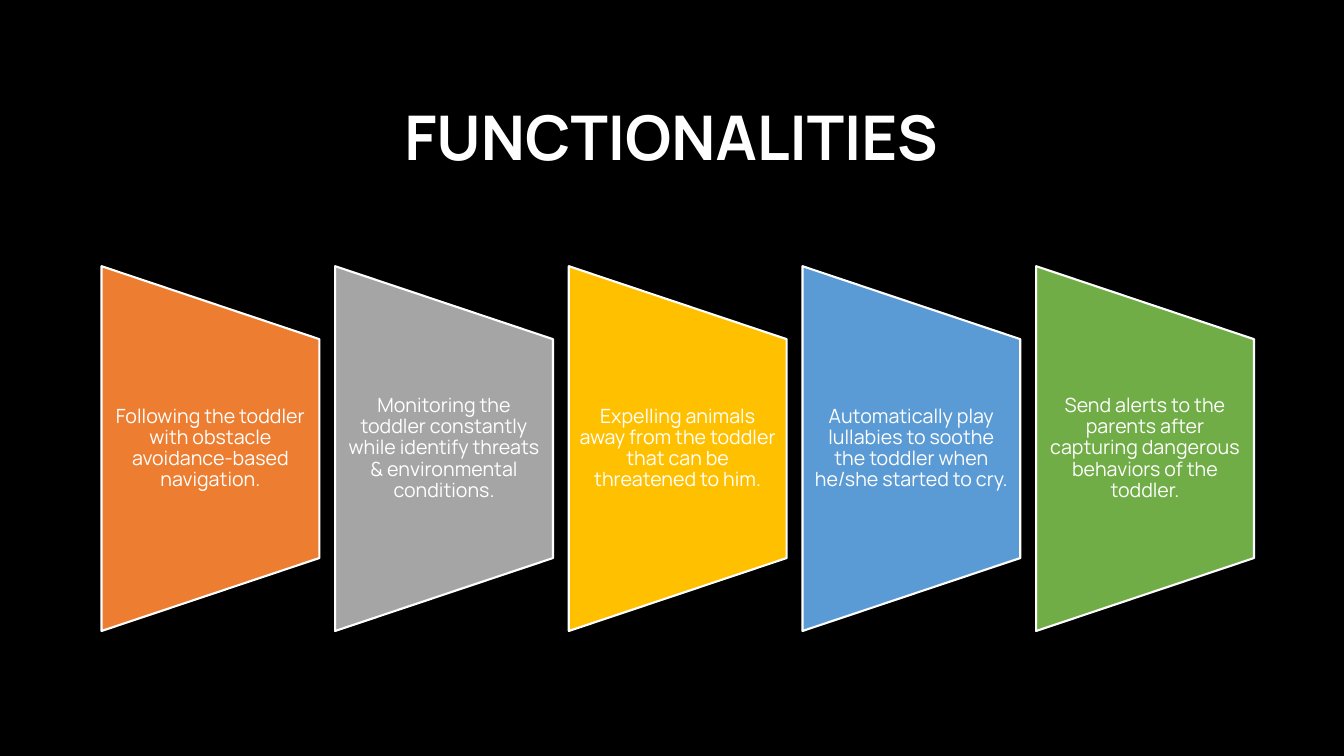
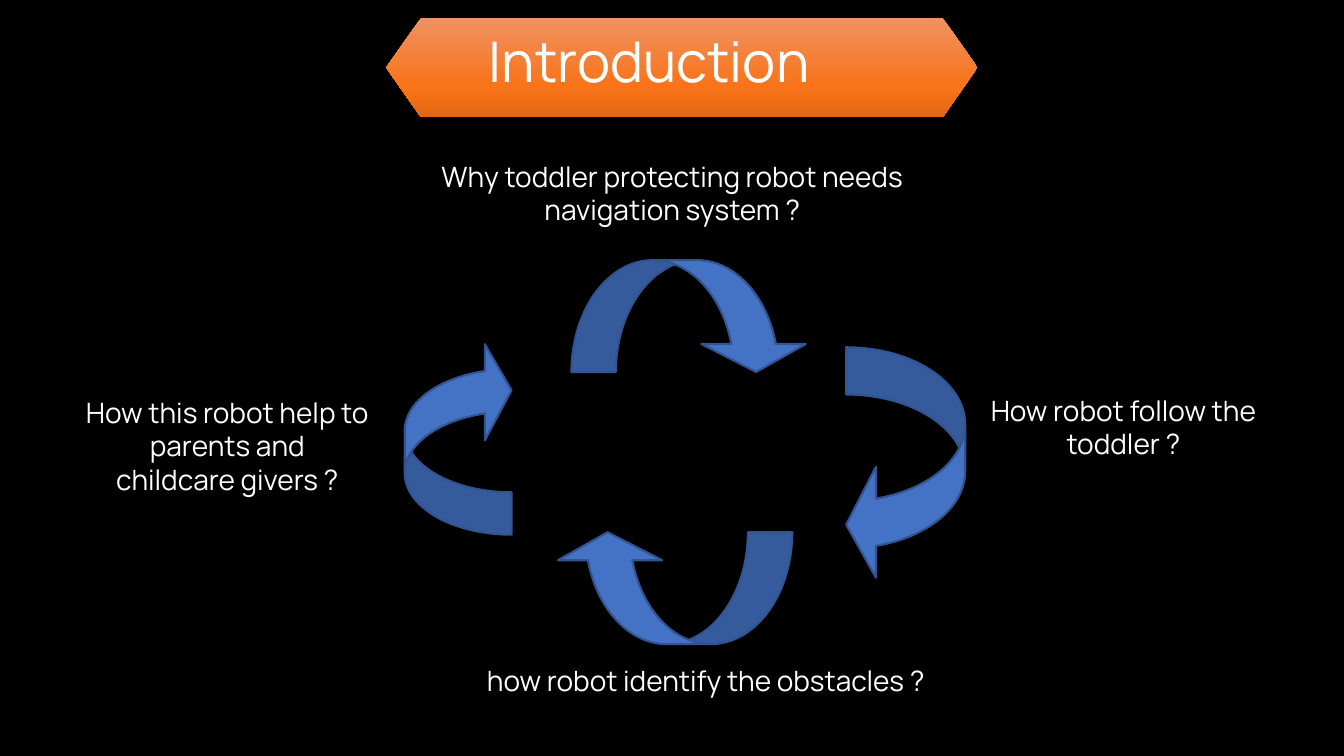
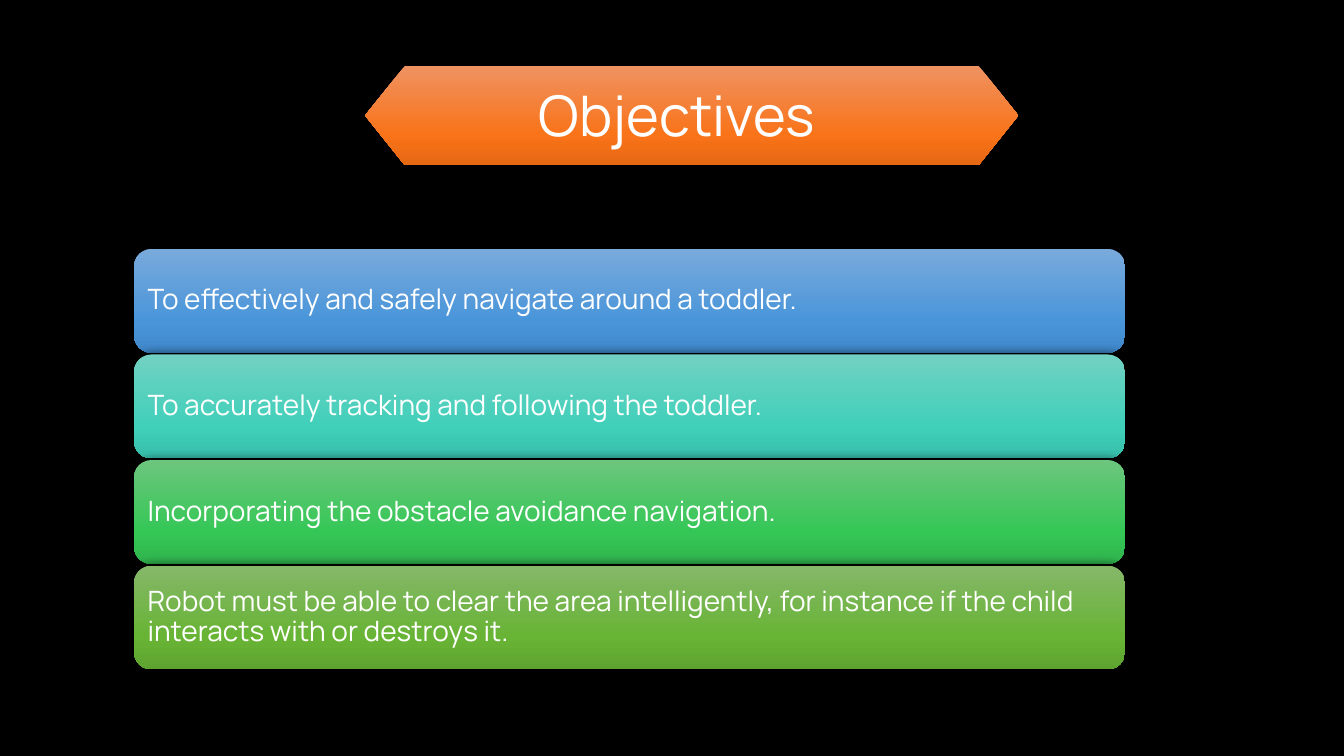
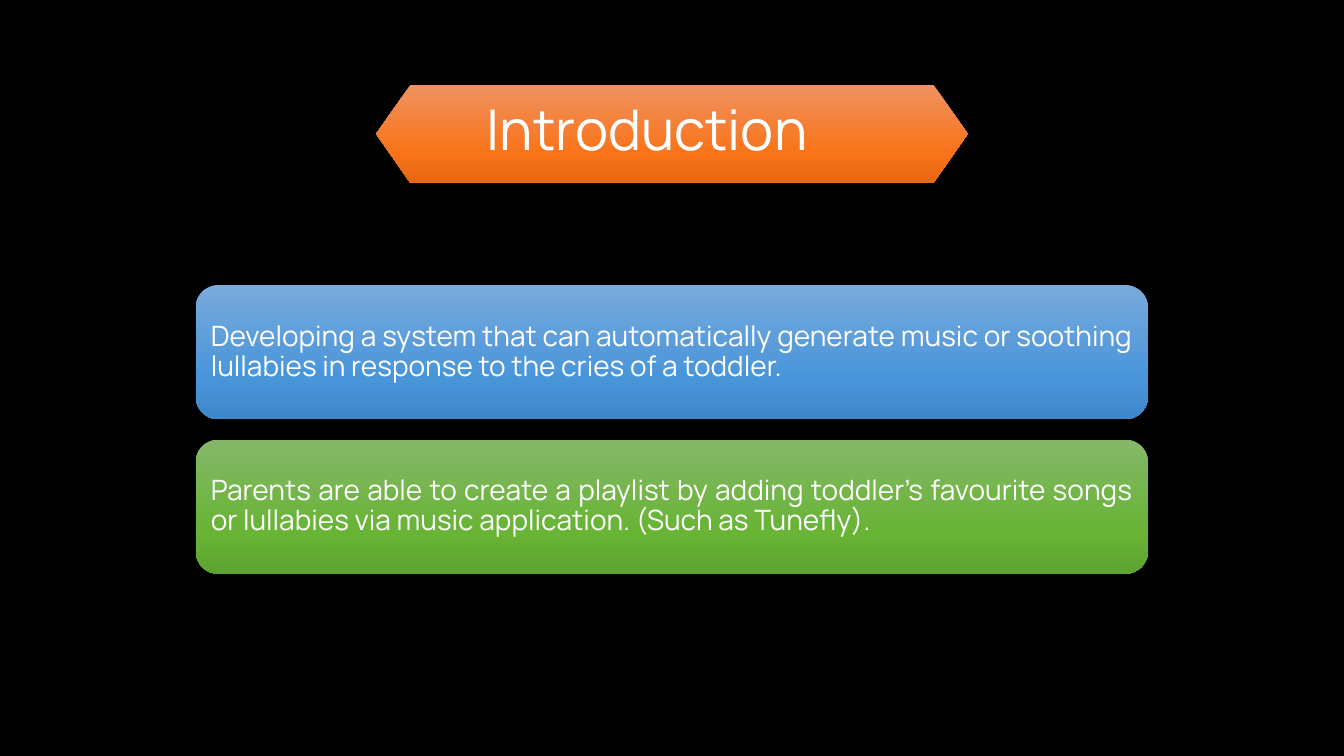
from dataclasses import dataclass

from lxml.etree import SubElement
from pptx import Presentation
from pptx.dml.color import RGBColor
from pptx.enum.shapes import MSO_SHAPE as Preset
from pptx.enum.text import MSO_ANCHOR as Anchor, PP_ALIGN as Align
from pptx.oxml.ns import qn
from pptx.util import Pt


@dataclass(frozen=True)
class Theme:
    font: str = "Manrope"
    background: str = "000000"
    text: str = "FFFFFF"
    arrow: str = "4472C4"
    arrow_edge: str = "325491"
    orange: tuple = ("EF9261", "F97319", "E66812")
    blue: tuple = ("79AADB", "4995DA", "3F87C9")
    teal: tuple = ("72D1C2", "40D0BA", "37BFAB")
    green: tuple = ("6CC67D", "35C756", "30B44E")
    olive: tuple = ("85B769", "68B435", "5EA330")
    stops: tuple = (0, 69, 100)
    soft_shadow: tuple = (76, 6, 3)
    tight_shadow: tuple = (100, 8.5, 1)
    heading: int = 44
    ribbon: int = 40
    body: int = 20
    small: int = 14
    edge: float = 1.5


THEME = Theme()
SLIDE_SIZE = (960, 540)

FUNCTIONALITIES = [
    ("Following the toddler with obstacle avoidance-based navigation.", "ED7D31"),
    ("Monitoring the toddler constantly while identify threats & environmental conditions.", "A5A5A5"),
    ("Expelling animals away from the toddler that can be threatened to him.", "FFC000"),
    ("Automatically play lullabies to soothe the toddler when he/she started to cry.", "5B9BD5"),
    ("Send alerts to the parents after capturing dangerous behaviors of the toddler.", "70AD47"),
]

QUESTIONS = [
    (["Why toddler protecting robot needs navigation system ?"], (288, 110.2, 384.5, 55.4)),
    (["How robot follow the toddler ?"], (682.6, 277.2, 239.8, 55.4)),
    (["how robot identify the obstacles ?"], (312, 470.2, 384.5, 31.7)),
    (["How this robot help to parents and", "childcare givers ?"], (42.5, 278.6, 239.8, 79.9)),
]
CYCLE_ARROWS = [
    (180, (396.7, 380.2, 169.2, 79.9)),
    (270, (258.5, 275, 137.5, 76.3)),
    (90, (563.8, 288.7, 166.3, 85)),
    (0, (408.2, 185.8, 169.2, 79.9)),
]

OBJECTIVES = [
    ("To effectively and safely navigate around a toddler.", THEME.blue),
    ("To accurately tracking and following the toddler.", THEME.teal),
    ("Incorporating the obstacle avoidance navigation.", THEME.green),
    ("Robot must be able to clear the area intelligently, for instance if the child "
     "interacts with or destroys it.", THEME.olive),
]

MUSIC_FEATURES = [
    ("Developing a system that can automatically generate music or soothing lullabies "
     "in response to the cries of a toddler.", THEME.blue),
    ("Parents are able to create a playlist by adding toddler's favourite songs or "
     "lullabies via music application. (Such as Tunefly).", THEME.olive),
]


def points(values):
    return [Pt(value) for value in values]


def write(holder, lines, size, align=Align.LEFT, anchor=Anchor.TOP,
          spacing=None, margins=(7.2, 3.6), bold=False, after=0):
    frame = holder.text_frame
    frame.word_wrap = True
    frame.vertical_anchor = anchor
    frame.margin_left = frame.margin_right = Pt(margins[0])
    frame.margin_top = frame.margin_bottom = Pt(margins[1])
    frame.text = "\n".join(lines)
    for paragraph in frame.paragraphs:
        paragraph.alignment = align
        paragraph.line_spacing = spacing
        paragraph.space_after = Pt(after)
        font = paragraph.font
        font.name, font.size, font.bold = THEME.font, Pt(size), bold
        font.color.rgb = RGBColor.from_string(THEME.text)


def add_text(slide, box, lines, size, **style):
    write(slide.shapes.add_textbox(*points(box)), lines, size, **style)


def add_flat(slide, preset, box, fill, edge, rotation):
    shape = slide.shapes.add_shape(preset, *points(box))
    shape.shadow.inherit = False
    shape.rotation = rotation
    shape.fill.solid()
    shape.fill.fore_color.rgb = RGBColor.from_string(fill)
    shape.line.color.rgb = RGBColor.from_string(edge)
    shape.line.width = Pt(THEME.edge)
    return shape


def add_glossy(slide, preset, box, colours, shadow):
    shape = slide.shapes.add_shape(preset, *points(box))
    shape.line.fill.background()
    shape.fill.gradient()
    shape.fill.gradient_angle = 270
    properties = shape.fill._xPr
    stop_list = properties.find(qn("a:gradFill")).find(qn("a:gsLst"))
    for stop in list(stop_list):
        stop_list.remove(stop)
    for position, colour in zip(THEME.stops, colours):
        stop = SubElement(stop_list, qn("a:gs"), pos=str(position * 1000))
        SubElement(stop, qn("a:srgbClr"), val=colour)

    shape.shadow.inherit = False
    opacity, blur, distance = shadow
    outer = SubElement(properties.find(qn("a:effectLst")), qn("a:outerShdw"),
                       blurRad=str(Pt(blur)), dist=str(Pt(distance)),
                       dir="5400000", algn="ctr", rotWithShape="0")
    shade = SubElement(outer, qn("a:srgbClr"), val=THEME.background)
    SubElement(shade, qn("a:alpha"), val=str(opacity * 1000))
    return shape


def add_ribbon(slide, title, box, point, title_box, spacing, align=Align.LEFT):
    ribbon = add_glossy(slide, Preset.HEXAGON, box, THEME.orange, THEME.soft_shadow)
    ribbon.adjustments[0] = point
    add_text(slide, title_box, [title], THEME.ribbon, align=align,
             spacing=Pt(spacing), margins=(0, 0))


def add_bars(slide, bars, first, pitch, shadow, align):
    left, top, width, height = first
    for index, (sentence, colours) in enumerate(bars):
        box = (left, top + index * pitch, width, height)
        bar = add_glossy(slide, Preset.ROUNDED_RECTANGLE, box, colours, shadow)
        write(bar, [sentence], THEME.body, align=align, anchor=Anchor.MIDDLE,
              spacing=0.9, margins=(6, 6))


def build_functionalities(slide):
    add_text(slide, (72, 48.2, 815, 104.4), ["FUNCTIONALITIES"], THEME.heading,
             align=Align.CENTER, anchor=Anchor.MIDDLE, spacing=0.9, bold=True, after=6)
    left, pitch, width, height, middle = 72.5, 166.9, 155.6, 260.6, 320.4
    for index, (sentence, colour) in enumerate(FUNCTIONALITIES):
        x = left + index * pitch
        unrotated = (x + (width - height) / 2, middle - width / 2, height, width)
        add_flat(slide, Preset.FLOWCHART_MANUAL_OPERATION, unrotated, colour, THEME.text, 270)
        add_text(slide, (x, middle - 78, width, 156), [sentence], THEME.small,
                 align=Align.CENTER, anchor=Anchor.MIDDLE, spacing=0.9, margins=(7, 0))


def build_questions(slide):
    add_ribbon(slide, "Introduction", (275.8, 13, 422.4, 70.5), 0.35,
               (349.2, 30.2, 264.2, 39.6), 36.6)
    for rotation, box in CYCLE_ARROWS:
        arrow = add_flat(slide, Preset.CURVED_DOWN_ARROW, box, THEME.arrow,
                         THEME.arrow_edge, rotation)
        for index, value in enumerate((0.397, 0.932, 0.25)):
            arrow.adjustments[index] = value
    for lines, box in QUESTIONS:
        add_text(slide, box, lines, THEME.body, align=Align.CENTER)


def build_objectives(slide):
    add_bars(slide, OBJECTIVES, (95.8, 177.8, 707.8, 74.2), 75.4,
             THEME.tight_shadow, Align.LEFT)
    add_ribbon(slide, "Objectives", (260.8, 47.3, 466.6, 70.5), 0.4,
               (301.8, 59, 363.6, 47.5), 46.7, Align.CENTER)


def build_music(slide):
    add_bars(slide, MUSIC_FEATURES, (139.9, 203.6, 680, 95.8), 110.4,
             THEME.soft_shadow, Align.JUSTIFY)
    add_ribbon(slide, "Introduction", (268.7, 60.4, 422.6, 70.5), 0.35,
               (347.8, 79.2, 264.2, 39.6), 36.6)


def main():
    deck = Presentation()
    deck.slide_width, deck.slide_height = points(SLIDE_SIZE)
    backdrop = deck.slide_master.background.fill
    backdrop.solid()
    backdrop.fore_color.rgb = RGBColor.from_string(THEME.background)
    for build in (build_functionalities, build_questions, build_objectives, build_music):
        build(deck.slides.add_slide(deck.slide_layouts[6]))
    deck.save("out.pptx")


if __name__ == "__main__":
    main()
